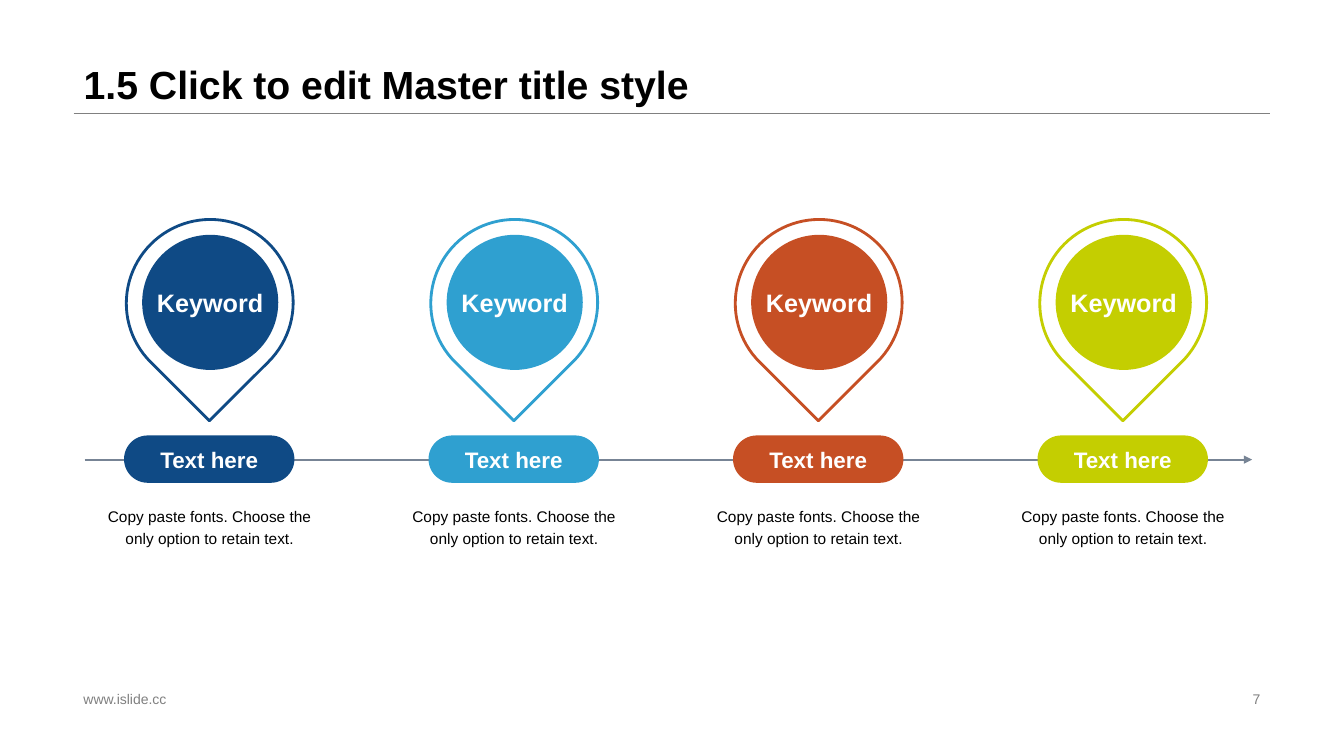
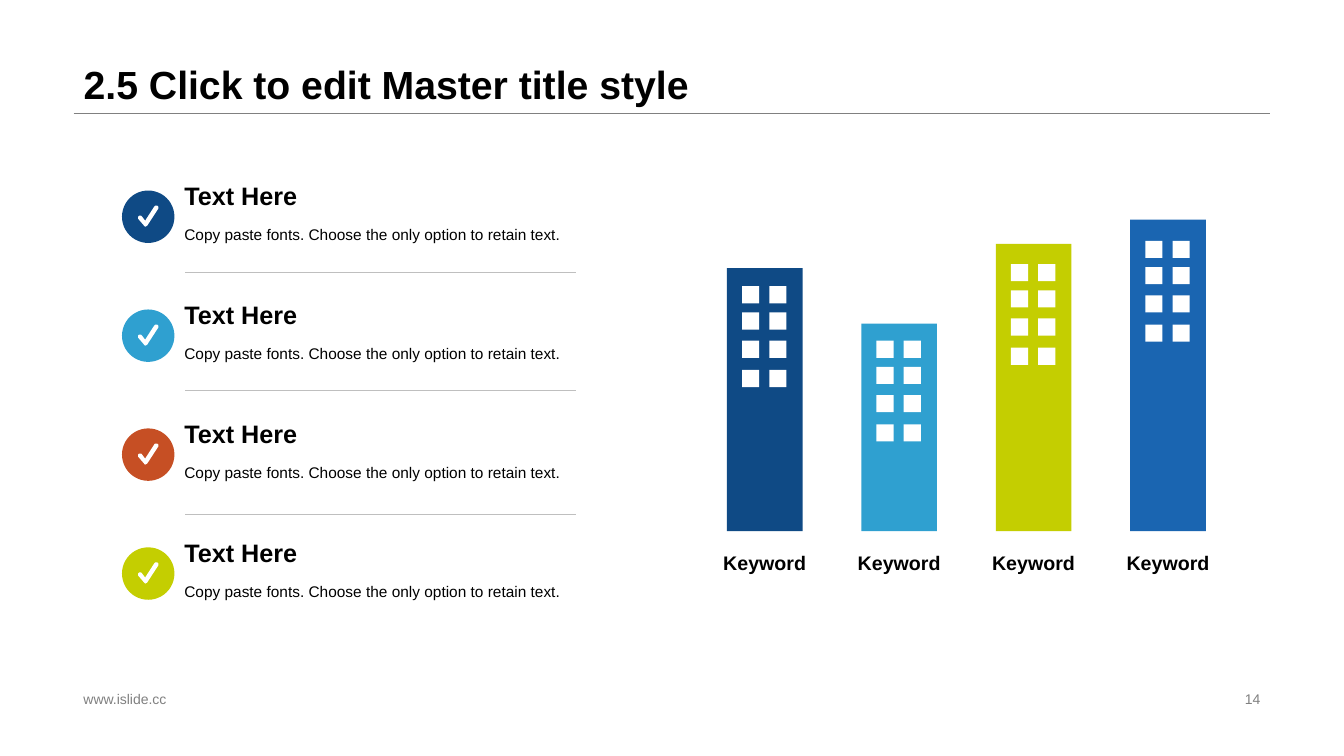
from dataclasses import dataclass
from itertools import product

from lxml.etree import SubElement
from pptx import Presentation
from pptx.dml.color import RGBColor
from pptx.enum.shapes import MSO_CONNECTOR, MSO_SHAPE
from pptx.enum.text import MSO_ANCHOR as Anchor
from pptx.enum.text import MSO_AUTO_SIZE, PP_ALIGN as Align
from pptx.oxml.ns import qn
from pptx.util import Inches, Pt


@dataclass(frozen=True)
class Theme:
    font: str = "Arial"
    # Colours
    navy: str = "0F4A85"
    sky: str = "2FA0D0"
    rust: str = "C64F24"
    lime: str = "C4CE01"
    blue: str = "1A65B1"
    white: str = "FFFFFF"
    ink: str = "000000"
    gray: str = "808080"
    divider: str = "BFBFBF"
    axis: str = "778495"
    # Type sizes
    title: float = 28
    heading: float = 18
    pill: float = 16
    label: float = 14
    body: float = 11
    footer: float = 10


THEME = Theme()
ACCENTS = (THEME.navy, THEME.sky, THEME.rust, THEME.lime)
COPY = "Copy paste fonts. Choose the only option to retain text."
CHECK_OUTLINE = (
    (0.23, 0.36), (0.22, 0.35), (0.16, 0.28), (0.16, 0.26), (0.17, 0.25),
    (0.19, 0.25), (0.2, 0.26), (0.23, 0.3), (0.32, 0.16), (0.33, 0.15),
    (0.35, 0.15), (0.36, 0.16), (0.36, 0.18), (0.25, 0.35),
)


def write(frame, text, *, size, color=THEME.ink, bold=False, align=Align.LEFT,
          anchor=Anchor.TOP, wrap=True, spacing=1.0):
    """Fill a text frame with one formatted paragraph."""
    frame.auto_size = MSO_AUTO_SIZE.NONE
    frame.word_wrap = wrap
    frame.vertical_anchor = anchor
    paragraph = frame.paragraphs[0]
    paragraph.alignment = align
    paragraph.line_spacing = spacing
    run = paragraph.add_run()
    run.text = text
    run.font.name = THEME.font
    run.font.size = Pt(size)
    run.font.bold = bold
    run.font.color.rgb = RGBColor.from_string(color)


class Deck:
    def __init__(self, theme):
        self.theme = theme
        self.prs = Presentation()
        self.prs.slide_width = Inches(13.33)
        self.prs.slide_height = Inches(7.5)
        self.slide = None

    def new_slide(self, title, number):
        """Start a slide with its title, rule and footer."""
        theme = self.theme
        self.slide = self.prs.slides.add_slide(self.prs.slide_layouts[5])
        heading = self.slide.shapes.title
        heading.left, heading.top = Inches(0.73), Inches(0)
        heading.width, heading.height = Inches(11.87), Inches(1.12)
        write(heading.text_frame, title, size=theme.title, bold=True,
              anchor=Anchor.BOTTOM, spacing=0.9)
        self.line(0.73, 12.6, 1.12, theme.gray)
        footer = dict(size=theme.footer, color=theme.gray, anchor=Anchor.MIDDLE)
        self.text(0.73, 6.82, 4.53, 0.23, "www.islide.cc", **footer)
        self.text(9.42, 6.82, 3.18, 0.23, str(number), align=Align.RIGHT, **footer)

    def text(self, left, top, width, height, content, **style):
        box = self.slide.shapes.add_textbox(
            Inches(left), Inches(top), Inches(width), Inches(height))
        write(box.text_frame, content, **style)

    def paint(self, shape, fill, outline=None):
        shape.shadow.inherit = False
        shape.fill.solid()
        shape.fill.fore_color.rgb = RGBColor.from_string(fill)
        if outline:
            shape.line.color.rgb = RGBColor.from_string(outline)
            shape.line.width = Pt(2)
        else:
            shape.line.fill.background()

    def shape(self, kind, left, top, width, height, fill, outline=None):
        shape = self.slide.shapes.add_shape(
            kind, Inches(left), Inches(top), Inches(width), Inches(height))
        self.paint(shape, fill, outline)
        return shape

    def badge(self, kind, left, top, width, height, fill, content, size):
        """Draw a filled shape with a white centred caption."""
        badge = self.shape(kind, left, top, width, height, fill)
        write(badge.text_frame, content, size=size, color=self.theme.white,
              bold=True, align=Align.CENTER, anchor=Anchor.MIDDLE, wrap=False)
        return badge

    def outline(self, left, top, points, fill):
        corners = [(Inches(left + x), Inches(top + y)) for x, y in points]
        builder = self.slide.shapes.build_freeform(*corners[0])
        builder.add_line_segments(corners[1:], close=True)
        self.paint(builder.convert_to_shape(), fill)

    def line(self, start, end, y, color, width=0.25, arrow=False):
        """Draw a horizontal line, with an arrowhead if asked."""
        line = self.slide.shapes.add_connector(
            MSO_CONNECTOR.STRAIGHT, Inches(start), Inches(y), Inches(end), Inches(y))
        line.line.color.rgb = RGBColor.from_string(color)
        line.line.width = Pt(width)
        properties = line.element.spPr
        if arrow:
            SubElement(properties.find(qn("a:ln")), qn("a:tailEnd"), type="triangle")
        SubElement(properties, qn("a:effectLst"))

    def save(self):
        self.prs.save("out.pptx")


def add_timeline(deck):
    theme = deck.theme
    deck.new_slide("1.5 Click to edit Master title style", 7)
    deck.line(0.84, 12.42, 4.56, theme.axis, width=1.5, arrow=True)
    for index, color in enumerate(ACCENTS):
        left = 0.88 + 3.02 * index
        # Pin
        pin = deck.shape(MSO_SHAPE.TEAR, left + 0.37, 2.18, 1.66, 1.65,
                         theme.white, outline=color)
        pin.rotation = 135
        deck.badge(MSO_SHAPE.OVAL, left + 0.53, 2.33, 1.35, 1.34, color,
                   "Keyword", theme.heading)
        # Milestone and description
        milestone = deck.badge(MSO_SHAPE.ROUNDED_RECTANGLE, left + 0.35, 4.32,
                               1.69, 0.47, color, "Text here", theme.pill)
        milestone.adjustments[0] = 0.5
        deck.text(left, 4.94, 2.4, 0.61, COPY, size=theme.body,
                  align=Align.CENTER, spacing=1.2)


def add_checklist(deck):
    theme = deck.theme
    for index, color in enumerate(ACCENTS):
        top = 1.69 + 1.18 * index
        deck.shape(MSO_SHAPE.OVAL, 1.21, top + 0.2, 0.52, 0.52, color)
        deck.outline(1.21, top + 0.2, CHECK_OUTLINE, theme.white)
        deck.text(1.73, top, 3.97, 0.45, "Text Here", size=theme.heading,
                  bold=True, anchor=Anchor.BOTTOM)
        deck.text(1.73, top + 0.46, 3.97, 0.45, COPY, size=theme.body, spacing=1.2)
    for divider_y in (2.7, 3.87, 5.1):
        deck.line(1.84, 5.71, divider_y, theme.divider)


def add_buildings(deck):
    theme = deck.theme
    ground = 5.27
    pitch = 4 / 3
    # Colour, roof and top window row of each building
    buildings = (
        (theme.navy, 2.66, 2.84),
        (theme.sky, 3.21, 3.38),
        (theme.lime, 2.42, 2.62),
        (theme.blue, 2.18, 2.39),
    )
    for index, (color, roof, windows_top) in enumerate(buildings):
        left = 7.21 + pitch * index
        deck.shape(MSO_SHAPE.RECTANGLE, left, roof, 0.75, ground - roof, color)
        for row, column in product((0, 0.26, 0.54, 0.83), (0.15, 0.42)):
            deck.shape(MSO_SHAPE.RECTANGLE, left + column, windows_top + row,
                       0.17, 0.17, theme.white)
        deck.text(left - 0.16, 5.42, 1.07, 0.36, "Keyword", size=theme.label,
                  bold=True, align=Align.CENTER, wrap=False)


def main():
    deck = Deck(THEME)
    add_timeline(deck)
    deck.new_slide("2.5 Click to edit Master title style", 14)
    add_checklist(deck)
    add_buildings(deck)
    deck.save()


if __name__ == "__main__":
    main()
